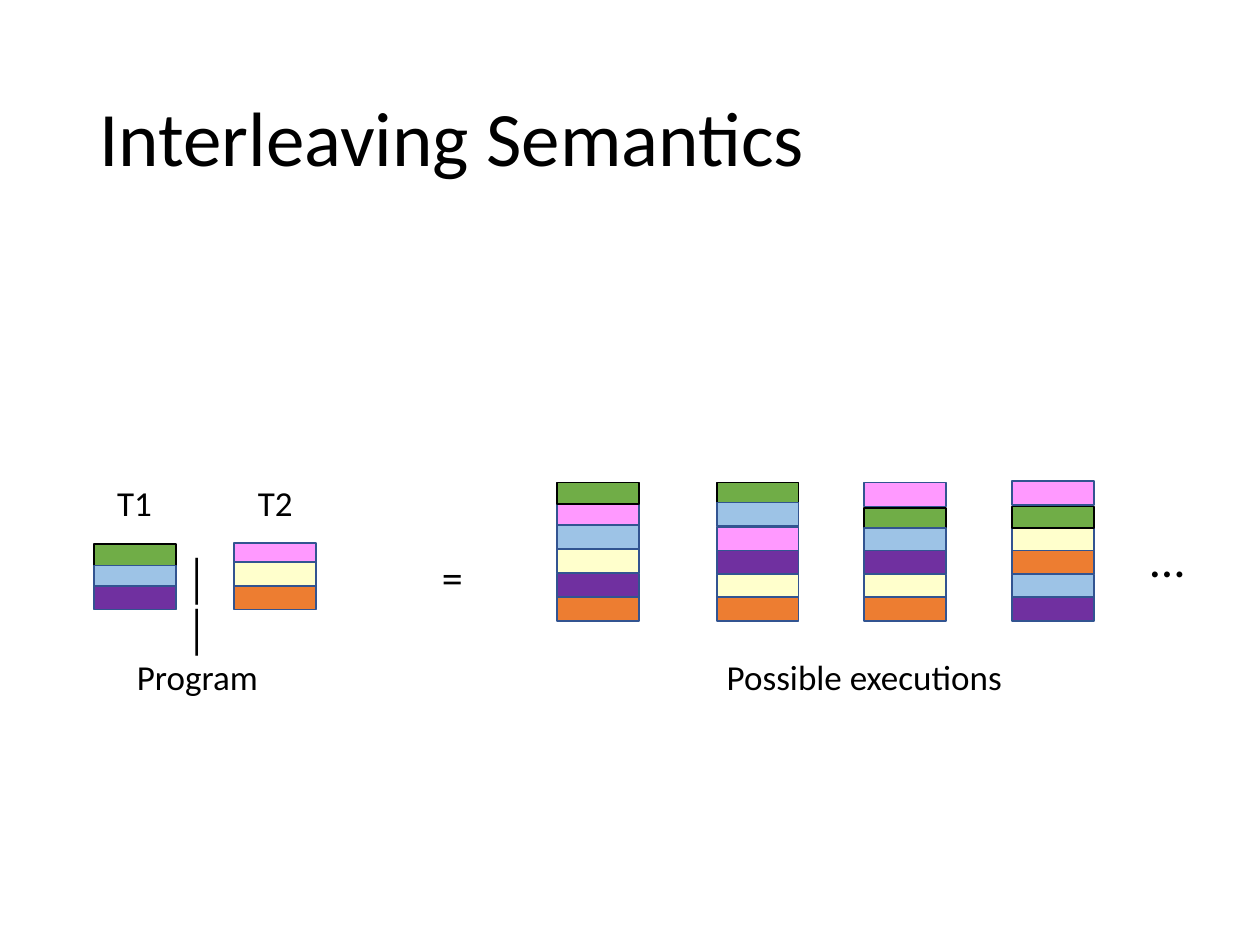
import pptx
import pptx.dml.color
import pptx.enum.shapes
import pptx.enum.text
import pptx.util

Cm = pptx.util.Cm
Pt = pptx.util.Pt
RGB = pptx.dml.color.RGBColor.from_string

THEME = {
    "font": "Calibri", "bar_font": "Noto Sans CJK SC", "text": "000000",
    "title": 44, "dots": 28, "operator": 24, "label": 20,
    "edge": "325491", "green_edge": "000000", "edge_width": 1,
    # Steps are stacked from back to front in this order
    "steps": {"pink": "FF99FF", "yellow": "FFFFCC", "green": "70AD47",
              "blue": "9DC3E6", "purple": "7030A0", "orange": "ED7D31"},
}


def write(sp, text, size, font=THEME["font"], wrap=False):
    tf = sp.text_frame
    tf.word_wrap = wrap
    p = tf.paragraphs[0]
    r = p.add_run()
    r.text = text
    for name, value in {"name": font, "size": Pt(THEME[size])}.items():
        setattr(r.font, name, value)
    r.font.color.rgb = RGB(THEME["text"])
    return p


prs = pptx.Presentation()
prs.slide_width, prs.slide_height = Cm(25.4), Cm(19.05)
s = prs.slides.add_slide(prs.slide_layouts[5])

# Title
title = s.shapes.title
for name, value in {"left": 1.75, "top": 1.01, "width": 21.9, "height": 3.68}.items():
    setattr(title, name, Cm(value))
p = write(title, "Interleaving Semantics", "title", wrap=True)
for name, value in {"alignment": pptx.enum.text.PP_ALIGN.LEFT, "line_spacing": 0.9}.items():
    setattr(p, name, value)
title.text_frame.vertical_anchor = pptx.enum.text.MSO_ANCHOR.MIDDLE

# Columns of steps: left edge, height of the green step, top of each step
columns = [
    (1.9, 0.48, {"green": 10.97, "blue": 11.4, "purple": 11.81}),
    (4.72, 0.48, {"pink": 10.95, "yellow": 11.33, "orange": 11.81}),
    (11.23, 0.43, {"green": 9.73, "pink": 10.16, "blue": 10.59,
                   "yellow": 11.07, "purple": 11.56, "orange": 12.04}),
    (14.45, 0.43, {"green": 9.73, "blue": 10.13, "pink": 10.62,
                   "purple": 11.1, "yellow": 11.58, "orange": 12.04}),
    (17.42, 0.43, {"pink": 9.73, "green": 10.24, "blue": 10.64,
                   "purple": 11.1, "yellow": 11.58, "orange": 12.04}),
    (20.4, 0.43, {"pink": 9.7, "green": 10.21, "yellow": 10.62,
                  "orange": 11.1, "blue": 11.58, "purple": 12.04}),
]
for left, green_height, tops in columns:
    for step, colour in THEME["steps"].items():
        if step not in tops:
            continue
        is_green = step == "green"
        sp = s.shapes.add_shape(
            pptx.enum.shapes.MSO_SHAPE.RECTANGLE, Cm(left), Cm(tops[step]),
            Cm(1.65), Cm(green_height if is_green else 0.48))
        sp.shadow.inherit = False
        sp.fill.solid()
        sp.fill.fore_color.rgb = RGB(colour)
        sp.line.color.rgb = RGB(THEME["green_edge" if is_green else "edge"])
        sp.line.width = Pt(THEME["edge_width"])

# Labels and operators: the narrow box stacks the two parallel bars
labels = [
    ("T1", 2.11, 9.58, 1.22, 1.12, "label", THEME["font"], False),
    ("T2", 4.95, 9.58, 1.22, 1.12, "label", THEME["font"], False),
    ("Program", 2.51, 13.08, 2.97, 1.12, "label", THEME["font"], False),
    ("Possible executions", 14.4, 13.08, 6.12, 1.12, "label", THEME["font"], False),
    ("||", 3.61, 11, 0.89, 1.27, "operator", THEME["bar_font"], True),
    ("=", 8.66, 11, 1.09, 1.27, "operator", THEME["font"], False),
    ("…", 22.94, 10.52, 1.22, 1.45, "dots", THEME["font"], False),
]
for text, left, top, width, height, size, font, wrap in labels:
    sp = s.shapes.add_textbox(Cm(left), Cm(top), Cm(width), Cm(height))
    write(sp, text, size, font, wrap)

prs.save("out.pptx")
